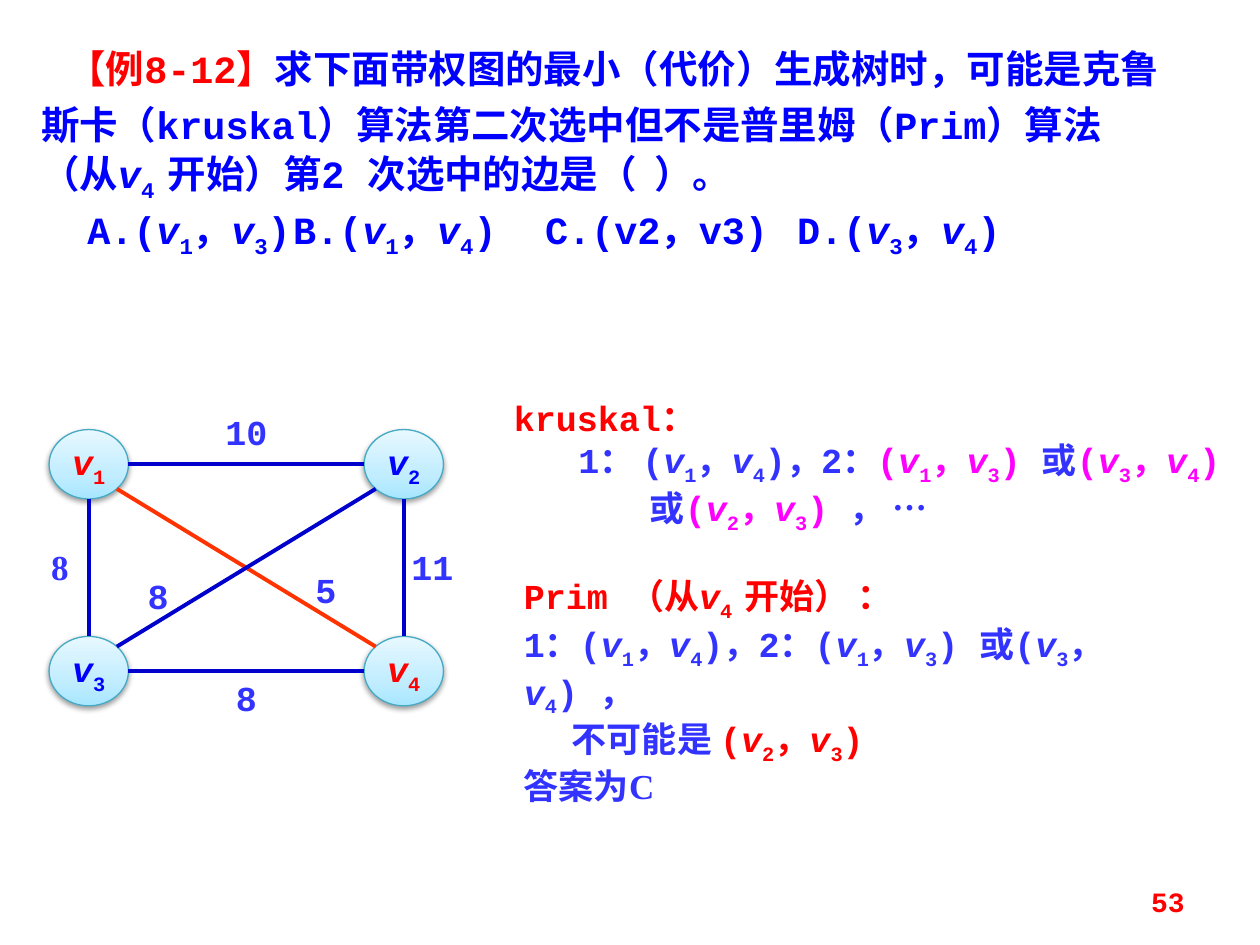
from lxml import etree
from pptx import Presentation
from pptx import util as u
from pptx.dml.color import RGBColor
from pptx.enum import shapes, text
from pptx.oxml import parse_xml
from pptx.oxml.ns import nsdecls, qn

RED = RGBColor(0xFF, 0x00, 0x00)
BLUE = RGBColor(0x00, 0x00, 0xFF)
VIOLET = RGBColor(0x33, 0x33, 0xFF)
MAGENTA = RGBColor(0xFF, 0x00, 0xFF)
NAVY = RGBColor(0x00, 0x00, 0xCC)
ORANGE = RGBColor(0xFF, 0x33, 0x00)
TEAL = RGBColor(0x46, 0xAA, 0xC5)
COURIER, TIMES = "Courier New", "Times New Roman"

# "<1>" stands for an italic v with the subscript 1
QUESTION = [
    (0.53, [("【例8-12】", RED),
            ("求下面带权图的最小（代价）生成树时，可能是克鲁斯卡（kruskal）算法第二次选中但不是"
             "普里姆（Prim）算法（从<4 >开始）第2 次选中的边是（  ）。", BLUE)]),
    (0.93, [("A.(<1>，<3>)\tB.(<1>，<4>)\tC.(v2，v3)\tD.(<3>，<4>)", BLUE)]),
]
OPTION_STOPS = [7.26, 13.61, 20.32]
PRIM = [
    (0, [("Prim （从<4 >开始） ：", RED)]),
    (0, [("1：(<1>，<4>)，2：(<1>，<3>) 或(<3>，<4>) ，", VIOLET)]),
    (0.97, [("不可能是", VIOLET), (" (<2>，<3>)", RED)]),
]
KRUSKAL = [
    (0, [("kruskal：", RED)]),
    (1.3, [("1： (<1>，<4>)，2：", VIOLET), ("(<1>，<3>) ", MAGENTA),
           ("或", VIOLET), ("(<3>，<4>)", MAGENTA)]),
    (2.74, [("或", VIOLET), ("(<2>，<3>) ", MAGENTA), ("， …", VIOLET)]),
]
NODES = {1: (0, 0, RED), 2: (1, 0, BLUE), 3: (0, 1, BLUE), 4: (1, 1, RED)}
EDGES = [
    (1, 2, NAVY, "10", 4.17, 8.28, COURIER),
    (1, 3, NAVY, "8", 0.41, 11.0, TIMES),
    (3, 4, NAVY, "8", 4.17, 13.64, COURIER),
    (2, 4, NAVY, "11", 7.92, 11.0, COURIER),
    (1, 4, ORANGE, "5", 5.77, 11.46, COURIER),
    (3, 2, NAVY, "8", 2.39, 11.58, COURIER),
]
NODE_W, NODE_H = 1.6, 1.4
FIRST_X, FIRST_Y, STEP_X, STEP_Y = 1.79, 9.36, 6.35, 4.17
GRADIENT = [(0, "A7E6FF"), (35, "C1EDFF"), (100, "E7F8FF")]


def write(frame, paragraphs, size=20, font=COURIER, align=None, leading=None, stops=()):
    for index, (indent, pieces) in enumerate(paragraphs):
        line = frame.paragraphs[0] if index == 0 else frame.add_paragraph()
        line.alignment = align
        line.line_spacing = leading
        props = line._p.get_or_add_pPr()
        props.set("marL", "0")
        props.set("indent", str(int(u.Cm(indent))))
        if stops:
            tabs = etree.SubElement(props, qn("a:tabLst"))
            for stop in stops:
                etree.SubElement(tabs, qn("a:tab"), pos=str(int(u.Cm(stop))), algn="l")
        for content, colour in pieces:
            plain, *vertices = content.split("<")
            parts = [(plain, False, False)]
            for vertex in vertices:
                subscript, rest = vertex.split(">")
                parts += [("v", True, False), (subscript, False, True), (rest, False, False)]
            for words, italic, lowered in parts:
                if not words:
                    continue
                run = line.add_run()
                run.text = words
                run.font.size, run.font.name = u.Pt(size), font
                run.font.bold, run.font.italic = True, italic
                run.font.color.rgb = colour
                if lowered:
                    run.font._element.set("baseline", "-25000")


def add_text(left, top, width, height, paragraphs, inset=True, anchor=None, **style):
    frame = slide.shapes.add_textbox(*map(u.Cm, (left, top, width, height))).text_frame
    frame.word_wrap = True
    frame.vertical_anchor = anchor
    if not inset:
        frame.margin_left = frame.margin_right = frame.margin_top = frame.margin_bottom = 0
    write(frame, paragraphs, **style)


def centre(vertex):
    column, row, _ = NODES[vertex]
    return FIRST_X + column * STEP_X, FIRST_Y + row * STEP_Y


def add_node(vertex):
    x, y = centre(vertex)
    node = slide.shapes.add_shape(
        shapes.MSO_SHAPE.OVAL,
        *map(u.Cm, (x - NODE_W / 2, y - NODE_H / 2, NODE_W, NODE_H)))
    node.line.color.rgb = TEAL
    node.line.width = u.Pt(0.75)
    stops = "".join(f'<a:gs pos="{pos * 1000}"><a:srgbClr val="{colour}"/></a:gs>'
                    for pos, colour in GRADIENT)
    props = node._element.spPr
    props.find(qn("a:prstGeom")).addnext(parse_xml(
        f'<a:gradFill {nsdecls("a")} rotWithShape="1"><a:gsLst>{stops}</a:gsLst>'
        '<a:lin ang="16200000" scaled="1"/></a:gradFill>'))
    props.append(parse_xml(
        f'<a:effectLst {nsdecls("a")}><a:outerShdw blurRad="40000" dist="20000" '
        'dir="5400000" rotWithShape="0"><a:srgbClr val="000000"><a:alpha val="38000"/>'
        '</a:srgbClr></a:outerShdw></a:effectLst>'))
    frame = node.text_frame
    frame.word_wrap = False
    frame.vertical_anchor = text.MSO_ANCHOR.MIDDLE
    write(frame, [(0, [(f"<{vertex}>", NODES[vertex][2])])], align=text.PP_ALIGN.CENTER)


def rim(vertex, toward):
    x, y = centre(vertex)
    across, down = (NODES[toward][i] - NODES[vertex][i] for i in (0, 1))
    reach = 0.5 / (across ** 2 + down ** 2) ** 0.5
    return u.Cm(x + across * reach * NODE_W), u.Cm(y + down * reach * NODE_H)


def add_edge(start, end, colour):
    edge = slide.shapes.add_connector(
        shapes.MSO_CONNECTOR.STRAIGHT, *rim(start, end), *rim(end, start))
    edge.line.color.rgb = colour
    edge.line.width = u.Pt(2.25)
    etree.SubElement(edge._element.spPr, qn("a:effectLst"))


deck = Presentation()
deck.slide_width, deck.slide_height = u.Cm(25.4), u.Cm(19.05)
slide = deck.slides.add_slide(deck.slide_layouts[6])

add_text(0.58, 0.58, 23.42, 4.83, QUESTION, size=22, leading=u.Pt(32), stops=OPTION_STOPS)
for vertex in NODES:
    add_node(vertex)
for start, end, colour, *_ in EDGES:
    add_edge(start, end, colour)
for *_, weight, left, top, font in EDGES:
    add_text(left, top, 1.6, 0.86, [(0, [(weight, VIOLET)])], inset=False, font=font,
             align=text.PP_ALIGN.CENTER)
add_text(10.31, 11.46, 14.1, 2.82, PRIM)
add_text(10.11, 7.87, 15.29, 2.82, KRUSKAL)
add_text(10.31, 15.29, 6.35, 1.12, [(0, [("答案为C", VIOLET)])], font=TIMES)
add_text(18.21, 17.65, 5.92, 1.02, [(0, [("53", RED)])], size=16,
         align=text.PP_ALIGN.RIGHT, anchor=text.MSO_ANCHOR.MIDDLE)

deck.save("out.pptx")
